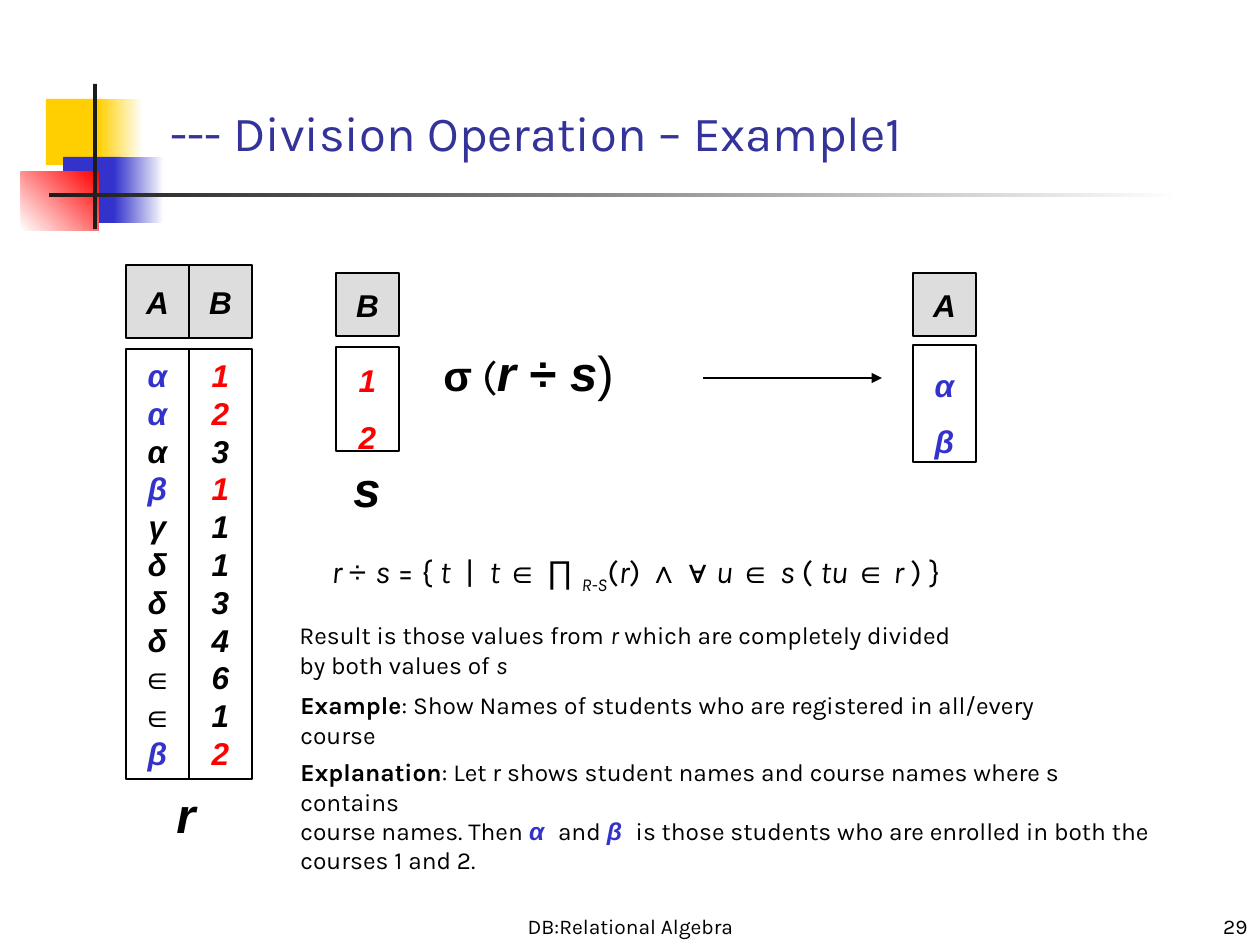
from lxml import etree
from pptx import Presentation, util as u
from pptx.dml.color import RGBColor
from pptx.enum import shapes, text
from pptx.oxml.ns import qn

SCALE = 914400 / 126  # EMU in one px
BLACK = RGBColor(0, 0, 0)
WHITE = RGBColor(255, 255, 255)
GREY = RGBColor(0xDD, 0xDD, 0xDD)
DARK = RGBColor(0x1C, 0x1C, 0x1C)
GOLD = RGBColor(0xFF, 0xCF, 0x01)
BLUE = RGBColor(0x33, 0x33, 0xCC)
NAVY = RGBColor(0x33, 0x33, 0x99)
RED = RGBColor(255, 0, 0)

MID = text.MSO_ANCHOR.MIDDLE
LOW = text.MSO_ANCHOR.BOTTOM
LEFT = text.PP_ALIGN.LEFT
MIDDLE = text.PP_ALIGN.CENTER
RIGHT = text.PP_ALIGN.RIGHT

# Run formats
PLAIN = {"name": "Karla", "bold": False, "italic": False}
SLANT = {**PLAIN, "italic": True}
HEAVY = {**PLAIN, "bold": True}
SIGN = {**PLAIN, "name": "Arial"}
STRONG = {**SIGN, "bold": True}
CELL = {**STRONG, "italic": True}
KEY = {**CELL, "color": BLUE}
HIT = {**CELL, "color": RED}


def px(*vals):
    return [u.Emu(round(v * SCALE)) for v in vals]


def lines(items, marks, style):
    """One paragraph per item; those whose index is in marks get the style."""
    return [[(t, style if n in marks else CELL)] for n, t in enumerate(items)]


class Deck:
    def __init__(self, wide, high):
        self.prs = Presentation()
        self.prs.slide_width, self.prs.slide_height = px(wide, high)
        self.slide = self.prs.slides.add_slide(self.prs.slide_layouts[5])
        self.shapes = self.slide.shapes

    def fill_text(self, frame, paras, size, align=LEFT, anchor=text.MSO_ANCHOR.TOP,
                  wrap=True, space=1.0, color=BLACK):
        frame.word_wrap = wrap
        frame.vertical_anchor = anchor
        for n, runs in enumerate(paras):
            para = frame.add_paragraph() if n else frame.paragraphs[0]
            para.alignment = align
            para.line_spacing = space
            for words, form in runs:
                run = para.add_run()
                run.text = words
                style = {"size": u.Pt(size), "color": color, **form}
                run.font.color.rgb = style.pop("color")
                base = style.pop("base", None)
                if base:
                    run.font._element.set("baseline", str(base))
                for name, val in style.items():
                    setattr(run.font, name, val)

    def title(self, box, words, size):
        head = self.shapes.title
        head.left, head.top, head.width, head.height = px(*box)
        self.fill_text(head.text_frame, [[(words, PLAIN)]], size, anchor=LOW, color=NAVY)

    def label(self, box, paras, size, **form):
        item = self.shapes.add_textbox(*px(*box))
        self.fill_text(item.text_frame, paras, size, **form)

    def rect(self, box, fill):
        item = self.shapes.add_shape(shapes.MSO_SHAPE.RECTANGLE, *px(*box))
        item.shadow.inherit = False
        item.fill.solid()
        item.fill.fore_color.rgb = fill
        item.line.fill.background()
        return item

    def fade(self, box, start, end, angle=0):
        fill = self.rect(box, start).fill
        fill.gradient()
        fill.gradient_angle = angle
        for stop, color in zip(fill.gradient_stops, (start, end)):
            stop.color.rgb = color

    def cell(self, box, paras, fill=WHITE, space=1.0):
        item = self.rect(box, fill)
        item.line.color.rgb = BLACK
        item.line.width = u.Pt(0.75)
        self.fill_text(item.text_frame, paras, 18, align=MIDDLE, anchor=MID,
                       wrap=False, space=space)

    def arrow(self, *ends):
        item = self.shapes.add_connector(shapes.MSO_CONNECTOR.STRAIGHT, *px(*ends))
        item.line.color.rgb = BLACK
        item.line.width = u.Pt(0.75)
        edge = item._element.spPr.find(qn("a:ln"))
        etree.SubElement(edge, qn("a:tailEnd"), type="triangle")
        etree.SubElement(item._element.spPr, qn("a:effectLst"))


def main():
    deck = Deck(1260, 945)

    # Corner ornament
    deck.rect((46, 99, 60, 66), GOLD)
    deck.fade((98, 99, 45, 66), GOLD, WHITE)
    deck.rect((63, 157, 58, 66), BLUE)
    deck.fade((114, 157, 50, 66), BLUE, WHITE)
    deck.fade((21, 172, 78, 59), WHITE, RED, 45)
    deck.rect((93, 84, 4, 145), DARK)
    deck.fade((49, 193, 1134, 4), DARK, WHITE)

    # Title and footer
    deck.title((158, 84, 1073, 84), "--- Division Operation – Example1", 28)
    deck.label((431, 892, 399, 53), [[("DB:Relational Algebra", PLAIN)]], 12,
               align=MIDDLE, anchor=LOW)
    deck.label((998, 892, 262, 53), [[("29", PLAIN)]], 12, align=RIGHT, anchor=LOW)

    # Relations: r on the left, s beside it, the result on the right
    side = 63
    heads = [("A", 126, 265, 73), ("B", 189, 265, 73),
             ("B", 336, 273, side), ("A", 913, 273, side)]
    for name, x, y, high in heads:
        deck.cell((x, y, side, high), [[(name, CELL)]], GREY)
    columns = [
        (126, 349, 430, "αααβγδδδ∈∈β", (0, 1, 3, 10), KEY, 1.0),
        (189, 349, 430, "12311134612", (0, 1, 3, 10), HIT, 1.0),
        (336, 347, 104, "12", (0, 1), HIT, 1.5),
        (913, 345, 117, "αβ", (0, 1), KEY, 1.5),
    ]
    for x, y, high, items, marks, style, space in columns:
        deck.cell((x, y, side, high), lines(items, marks, style), space=space)
    for name, x, y, wide in [("r", 164, 778, 44), ("s", 341, 452, 52)]:
        deck.label((x, y, wide, 72), [[(name, CELL)]], 28,
                   align=MIDDLE, anchor=MID, wrap=False)

    # Operation and arrow to the result
    big = {"size": u.Pt(28)}
    deck.label((431, 336, 242, 73), [[
        ("σ", STRONG), (" (", PLAIN), ("r ", {**CELL, **big}),
        ("÷ ", {**STRONG, **big}), ("s", {**CELL, **big}), (")", {**SIGN, **big}),
    ]], 24)
    deck.arrow(703, 378, 882, 378)

    # Definition
    deck.label((319, 546, 878, 55), [[
        ("r ", SLANT), ("÷ ", SIGN), ("s", SLANT), (" = { ", PLAIN),
        ("t", SLANT), ("  |  ", PLAIN), ("t ", SLANT), ("∈ ∏ ", SIGN),
        ("R-S", {**SLANT, "base": -25000}), ("(", PLAIN), ("r", SLANT),
        (") ", PLAIN), ("∧ ∀ ", SIGN), ("u ", SLANT),
        ("∈ ", SIGN), ("s ", SLANT), ("( ", PLAIN), ("tu ", SLANT),
        ("∈", SIGN), (" r ", SLANT), (") }", PLAIN),
    ]], 18)

    # Remarks
    deck.label((287, 614, 948, 72), [
        [("Result is those values from ", PLAIN), ("r", SLANT),
         (" which are completely divided", PLAIN)],
        [("by both values of ", PLAIN), ("s", SLANT)],
    ], 14)
    deck.label((288, 684, 808, 72), [
        [("Example", HEAVY),
         (": Show Names of students who are registered in all/every course", PLAIN)],
    ], 14)
    deck.label((288, 751, 887, 160), [
        [("Explanation", HEAVY),
         (": Let r shows student names and course names where s contains", PLAIN)],
        [("course names. Then ", PLAIN), ("α  ", KEY), ("and ", PLAIN), ("β  ", KEY),
         ("is those students who are enrolled in both the", PLAIN)],
        [("courses 1 and 2.", PLAIN)],
    ], 14)

    deck.prs.save("out.pptx")


if __name__ == "__main__":
    main()
